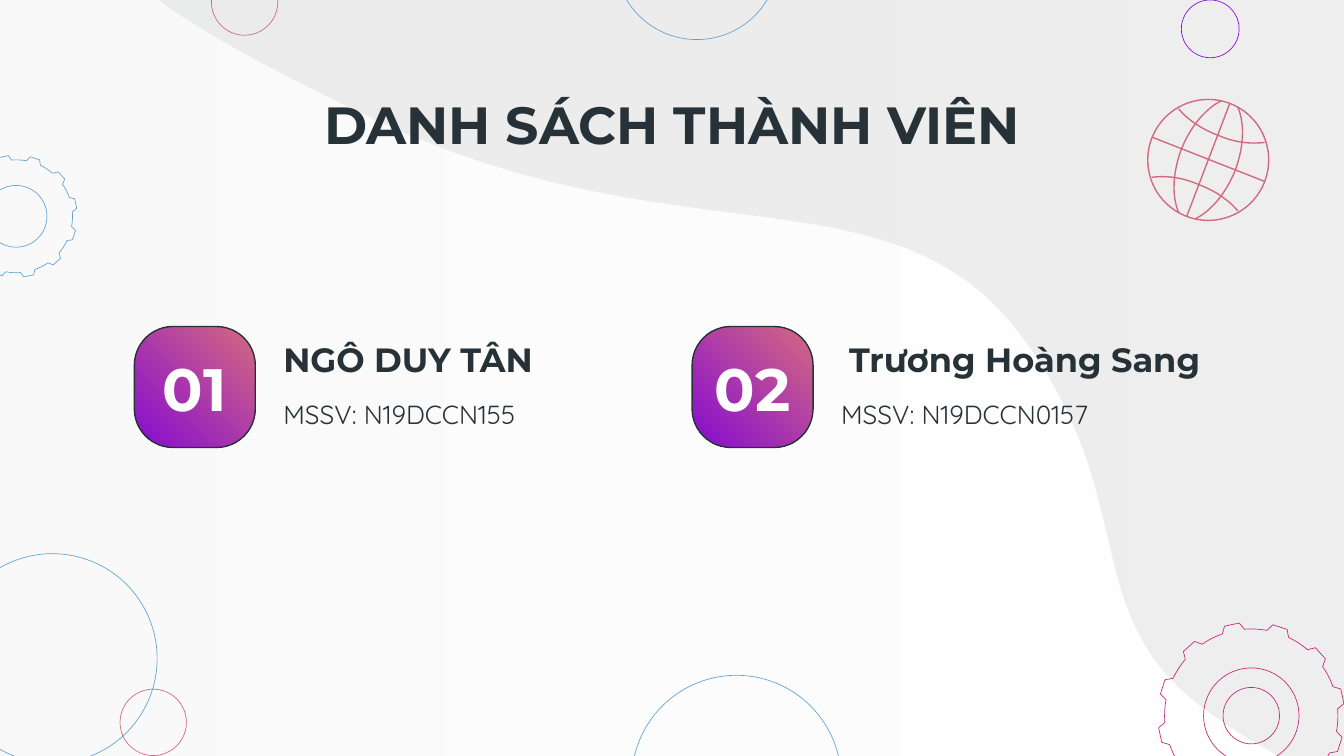
import math
from dataclasses import dataclass

import pptx
import pptx.dml.color
import pptx.enum.dml
import pptx.enum.shapes
import pptx.enum.text
import pptx.oxml
import pptx.oxml.ns
import pptx.shapes.autoshape
import pptx.slide
import pptx.text.text
import pptx.util

RGBColor = pptx.dml.color.RGBColor
Shape = pptx.shapes.autoshape.Shape
Slide = pptx.slide.Slide
Preset = pptx.enum.shapes.MSO_SHAPE
Align = pptx.enum.text.PP_ALIGN
Point = tuple[float, float]

INK = RGBColor(0x26, 0x32, 0x38)
WHITE = RGBColor(0xFF, 0xFF, 0xFF)
MIST = RGBColor(0xF3, 0xF3, 0xF3)
GREY = RGBColor(0xD6, 0xD7, 0xD7)
BLUE = RGBColor(0x63, 0xA4, 0xD5)
PURPLE = RGBColor(0x86, 0x0C, 0xD1)
ROSE = RGBColor(0xD3, 0x69, 0x80)
MAGENTA = RGBColor(0xC5, 0x28, 0x78)

SLIDE_WIDTH = pptx.util.Inches(10)
SLIDE_HEIGHT = pptx.util.Inches(5.625)
COLUMNS = 100
CELL = SLIDE_WIDTH / COLUMNS
HAIRLINE = 0.36
GLOBE_LINE = 0.75
VEIL = 41
TEETH = 12


@dataclass(frozen=True)
class Ring:
    x: float
    y: float
    radius: float
    color: RGBColor
    weight: float = HAIRLINE


@dataclass(frozen=True)
class Gear:
    rim: Ring
    tooth_height: float
    holes: tuple[float, ...]


@dataclass(frozen=True)
class Member:
    number: str
    name: str
    student_id: str
    column: float
    name_indent: float
    name_width: float


RINGS = (
    Ring(3.9, 49, 7.8, BLUE),
    Ring(90.05, 2.15, 2.15, PURPLE),
    Ring(18.2, 0.15, 2.47, ROSE),
    Ring(51.85, -3.15, 6.1, BLUE),
    Ring(54.8, 58.05, 7.8, BLUE),
    Ring(11.4, 53.75, 2.47, ROSE),
)
GEARS = (
    Gear(Ring(1.2, 16.1, 4.2, BLUE), 0.35, (2.3,)),
    Gear(Ring(93.1, 53.25, 6.45, MAGENTA), 0.5, (3.55, 2.1)),
)
GLOBE = Ring(89.9, 11.9, 4.5, ROSE, GLOBE_LINE)
GLOBE_AXES = (((91.5, 7.7), (88.3, 16.1)), ((85.7, 10.2), (94.1, 13.5)))
GLOBE_ARCS = (
    ((87.7, 15.8), (87.7, 15.8), (86.8, 14.1), (87.9, 11.1),
     (89.1, 8.2), (90.9, 7.5), (90.9, 7.5)),
    ((92.1, 15.7), (91.6, 15.1), (90.7, 14.3), (89.1, 13.7),
     (87.7, 13.1), (86.5, 13.1), (85.7, 13.2)),
)
WAVE_CORNERS = [(10.7, -2.5), (102.8, -2.5), (102.8, 58.8)]
WAVE_EDGE = (
    (101.3, 58.8), (98.1, 57.8), (93.9, 56), (89.4, 52.6),
    (80, 45.5), (85.1, 36.9), (75.7, 24.6), (66.2, 12.3),
    (50.2, 19.5), (27.9, 8.9), (17.6, 4), (12.8, 1), (10.7, -0.9),
)
MEMBERS = (
    Member("01", "NGÔ DUY TÂN", "MSSV: N19DCCN155", 10, 0, 28.2),
    Member("02", "Trương Hoàng Sang", "MSSV: N19DCCN0157", 51.5, 0.6, 36.3),
)


def cells(*lengths: float) -> list[int]:
    return [round(length * CELL) for length in lengths]


def bezier(controls: tuple[Point, ...], steps: int = 24) -> list[Point]:
    points = [controls[0]]
    for start in range(0, len(controls) - 1, 3):
        a, b, c, d = controls[start:start + 4]
        for step in range(1, steps + 1):
            t = step / steps
            weights = ((1 - t) ** 3, 3 * t * (1 - t) ** 2, 3 * t * t * (1 - t), t ** 3)
            points.append(tuple(
                sum(w * p[axis] for w, p in zip(weights, (a, b, c, d)))
                for axis in (0, 1)))
    return points


def outline(shape: Shape, color: RGBColor, weight: float) -> None:
    shape.shadow.inherit = False
    shape.fill.background()
    shape.line.color.rgb = color
    shape.line.width = pptx.util.Pt(weight)


def draw_points(slide: Slide, points: list[Point], closed: bool) -> Shape:
    builder = slide.shapes.build_freeform(*cells(*points[0]))
    builder.add_line_segments([cells(*point) for point in points[1:]], close=closed)
    return builder.convert_to_shape()


def draw_ring(slide: Slide, ring: Ring) -> None:
    circle = slide.shapes.add_shape(Preset.OVAL, *cells(
        ring.x - ring.radius, ring.y - ring.radius, 2 * ring.radius, 2 * ring.radius))
    outline(circle, ring.color, ring.weight)


def draw_gear(slide: Slide, gear: Gear) -> None:
    rim = gear.rim
    tip = rim.radius + gear.tooth_height
    profile = ((-7.5, rim.radius), (-4.6, tip), (4.6, tip), (7.5, rim.radius),
               (11.25, rim.radius), (15, rim.radius), (18.75, rim.radius))
    points = []
    for tooth in range(TEETH):
        for offset, radius in profile:
            angle = math.radians(tooth * 360 / TEETH - 12 + offset)
            points.append((rim.x + radius * math.cos(angle),
                           rim.y + radius * math.sin(angle)))
    outline(draw_points(slide, points, True), rim.color, rim.weight)
    for radius in gear.holes:
        draw_ring(slide, Ring(rim.x, rim.y, radius, rim.color))


def draw_globe(slide: Slide) -> None:
    draw_ring(slide, GLOBE)
    for start, end in GLOBE_AXES:
        axis = slide.shapes.add_connector(
            pptx.enum.shapes.MSO_CONNECTOR.STRAIGHT, *cells(*start, *end))
        axis.line.color.rgb = GLOBE.color
        axis.line.width = pptx.util.Pt(GLOBE.weight)
        axis.element.spPr.append(pptx.oxml.parse_xml(
            f'<a:effectLst {pptx.oxml.ns.nsdecls("a")}/>'))
    for arc in GLOBE_ARCS:
        opposite = tuple((2 * GLOBE.x - x, 2 * GLOBE.y - y) for x, y in arc)
        for controls in (arc, opposite):
            outline(draw_points(slide, bezier(controls), False), GLOBE.color, GLOBE.weight)


def gradient(shape: Shape, colors: tuple[RGBColor, RGBColor], angle: float) -> None:
    shape.fill.gradient()
    shape.fill.gradient_angle = angle
    for position, (stop, color) in enumerate(zip(shape.fill.gradient_stops, colors)):
        stop.position = position
        stop.color.rgb = color


def make_translucent(shape: Shape, percent: int) -> None:
    for color in shape.element.spPr.iter(pptx.oxml.ns.qn("a:srgbClr")):
        color.append(pptx.oxml.parse_xml(
            f'<a:alpha {pptx.oxml.ns.nsdecls("a")} val="{percent * 1000}"/>'))


def draw_backdrop(slide: Slide) -> None:
    wash = slide.shapes.add_shape(Preset.RECTANGLE, *cells(-0.7, -0.7, 101.4, 57.7))
    wave = draw_points(slide, WAVE_CORNERS + bezier(WAVE_EDGE), True)
    gradient(wash, (WHITE, MIST), 180)
    wave.fill.solid()
    wave.fill.fore_color.rgb = GREY
    for layer in (wash, wave):
        layer.shadow.inherit = False
        layer.line.fill.background()
        make_translucent(layer, VEIL)


def write_text(frame: pptx.text.text.TextFrame, text: str, *, size: float,
               font: str = "Montserrat", color: RGBColor = INK, bold: bool = True,
               align: Align = Align.LEFT) -> None:
    frame.word_wrap = True
    frame.auto_size = pptx.enum.text.MSO_AUTO_SIZE.NONE
    frame.vertical_anchor = pptx.enum.text.MSO_ANCHOR.MIDDLE
    frame.margin_left = frame.margin_right = pptx.util.Inches(0.1)
    frame.margin_top = frame.margin_bottom = pptx.util.Inches(0.1)
    paragraph = frame.paragraphs[0]
    paragraph.alignment = align
    run = paragraph.add_run()
    run.text = text
    run.font.name = font
    run.font.size = pptx.util.Pt(size)
    run.font.bold = bold
    run.font.color.rgb = color


def draw_member(slide: Slide, member: Member) -> None:
    badge = slide.shapes.add_shape(
        Preset.ROUNDED_RECTANGLE, *cells(member.column, 24.3, 9, 9))
    badge.adjustments[0] = 0.32
    outline(badge, INK, 0.75)
    gradient(badge, (ROSE, PURPLE), 225)
    text_column = member.column + 10.1
    add_box = slide.shapes.add_textbox
    write_text(add_box(*cells(member.column, 25.35, 9, 7)).text_frame,
               member.number, size=32, color=WHITE, align=Align.CENTER)
    write_text(add_box(*cells(text_column + member.name_indent, 24.3,
                              member.name_width, 4.8)).text_frame, member.name, size=18)
    write_text(add_box(*cells(text_column, 28.2, 28.2, 5.2)).text_frame,
               member.student_id, size=14, font="Quicksand", bold=False)


def main() -> None:
    deck = pptx.Presentation()
    deck.slide_width, deck.slide_height = SLIDE_WIDTH, SLIDE_HEIGHT
    slide = deck.slides.add_slide(deck.slide_layouts[5])
    draw_backdrop(slide)
    for ring in RINGS:
        draw_ring(slide, ring)
    for gear in GEARS:
        draw_gear(slide, gear)
    for member in MEMBERS:
        draw_member(slide, member)
    heading = slide.shapes.title
    heading.left, heading.top, heading.width, heading.height = cells(7.8, 7.2, 84.4, 4)
    write_text(heading.text_frame, "DANH SÁCH THÀNH VIÊN", size=28, align=Align.CENTER)
    heading.element.getparent().append(heading.element)
    draw_globe(slide)
    deck.save("out.pptx")


if __name__ == "__main__":
    main()
